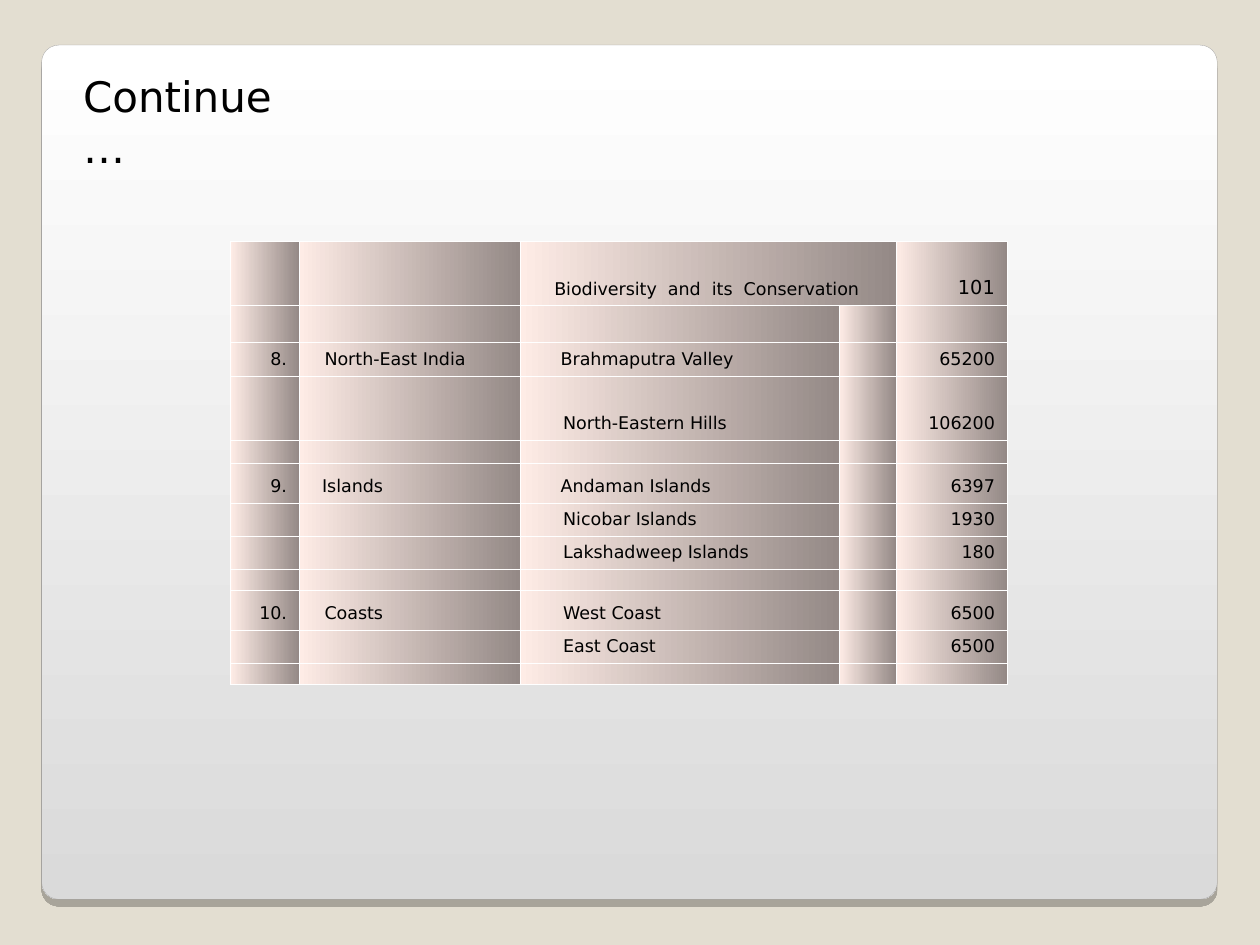
from lxml import etree
from pptx import Presentation
from pptx.dml.color import RGBColor
from pptx.enum import shapes, text
from pptx.oxml import parse_xml
from pptx.oxml.ns import nsdecls, qn
from pptx.util import Cm, Pt

FONT = "DejaVu Sans"
BLACK = RGBColor(0x00, 0x00, 0x00)
WHITE = RGBColor(0xFF, 0xFF, 0xFF)
SAND = RGBColor(0xE3, 0xDE, 0xD1)
SILVER = RGBColor(0xDA, 0xDA, 0xDA)
EDGE = RGBColor(0xA4, 0xA3, 0xA3)
TAUPE = RGBColor(0x94, 0x89, 0x86)
BLUSH = RGBColor(0xFE, 0xEC, 0xE6)

RIGHT = text.PP_ALIGN.RIGHT
WIDTHS = [1.39, 4.45, 6.43, 1.15, 2.24]

# Height in cm, number, zone, province, area
ROWS = [
    (1.29, "", "", "Biodiversity  and  its  Conservation", "101"),
    (0.74, "", "", "", ""),
    (0.69, "8.", "North-East India", "Brahmaputra Valley", "65200"),
    (1.29, "", "", "North-Eastern Hills", "106200"),
    (0.33, "", "", "", ""),
    (0.79, "9.", "Islands", "Andaman Islands", "6397"),
    (0.66, "", "", "Nicobar Islands", "1930"),
    (0.66, "", "", "Lakshadweep Islands", "180"),
    (0.26, "", "", "", ""),
    (0.81, "10.", "Coasts", "West Coast", "6500"),
    (0.66, "", "", "East Coast", "6500"),
    (0.26, "", "", "", ""),
]

# Left indents in cm; provinces beside a number sit slightly further left
INDENTS = {"Islands": 0.2, "Brahmaputra Valley": 0.56,
           "Andaman Islands": 0.56, ROWS[0][3]: 0.43}
ZONE_INDENT, AREA_INDENT = 0.25, 0.61


def put_text(frame, words, size=10, align=text.PP_ALIGN.LEFT, indent=0):
    para = frame.paragraphs[0]
    para.alignment = align
    if indent:
        para._p.get_or_add_pPr().set("marL", str(Cm(indent)))
    run = para.add_run()
    run.text = words
    font = run.font
    font.name, font.size, font.color.rgb = FONT, Pt(size), BLACK


def shade(fill, start, end, angle):
    fill.gradient()
    fill.gradient_angle = angle
    for stop, color, place in zip(fill.gradient_stops, (start, end), (0, 1)):
        stop.color.rgb = color
        stop.position = place


def add_card(slide):
    card = slide.shapes.add_shape(
        shapes.MSO_SHAPE.ROUNDED_RECTANGLE,
        Cm(0.84), Cm(0.91), Cm(23.7), Cm(17.22))
    card.adjustments[0] = 0.02
    shade(card.fill, WHITE, SILVER, 270)
    card.line.color.rgb = EDGE
    card.line.width = Pt(0.17)
    # Soft drop shadow below the card
    card.shadow.inherit = False
    card._element.spPr.find(qn("a:effectLst")).append(parse_xml(
        f'<a:outerShdw {nsdecls("a")} blurRad="0" dist="{Pt(4)}" '
        'dir="5400000" algn="t" rotWithShape="0"><a:srgbClr val="000000">'
        '<a:alpha val="25000"/></a:srgbClr></a:outerShdw>'))


def add_title(slide):
    title = slide.shapes.title
    title.left, title.top = Cm(1.42), Cm(1.3)
    title.width, title.height = Cm(4.8), Cm(1.27)
    frame = title.text_frame
    frame.word_wrap = True
    frame.auto_size = text.MSO_AUTO_SIZE.SHAPE_TO_FIT_TEXT
    frame.vertical_anchor = text.MSO_ANCHOR.TOP
    put_text(frame, "Continue…", size=24)
    # Keep the title in front of the card
    slide.shapes._spTree.append(title._element)


def edge_cell(cell):
    props = cell._tc.get_or_add_tcPr()
    for pos, side in enumerate(("lnL", "lnR", "lnT", "lnB")):
        line = etree.Element(qn(f"a:{side}"), w=str(Pt(0.45)))
        fill = etree.SubElement(line, qn("a:solidFill"))
        etree.SubElement(fill, qn("a:srgbClr"), val=str(WHITE))
        props.insert(pos, line)


def fill_cell(cell, words, row, col):
    shade(cell.fill, TAUPE, BLUSH, 180)
    edge_cell(cell)
    cell.vertical_anchor = text.MSO_ANCHOR.BOTTOM
    if not words:
        # Small empty line, so that thin rows stay thin
        end = cell.text_frame.paragraphs[0]._p.get_or_add_endParaRPr()
        end.set("sz", "500" if row == 4 else "400")
    elif col in (0, 4):
        put_text(cell.text_frame, words, align=RIGHT,
                 size=11 if row == 0 else 10)
    else:
        usual = ZONE_INDENT if col == 1 else AREA_INDENT
        put_text(cell.text_frame, words, indent=INDENTS.get(words, usual))


def add_grid(slide):
    table = slide.shapes.add_table(
        len(ROWS), len(WIDTHS), Cm(4.65), Cm(4.87),
        Cm(sum(WIDTHS)), Cm(sum(row[0] for row in ROWS))).table
    table.first_row = table.horz_banding = False
    for col, width in zip(table.columns, WIDTHS):
        col.width = Cm(width)
    for r, (height, num, zone, area, size) in enumerate(ROWS):
        table.rows[r].height = Cm(height)
        for c, words in enumerate((num, zone, area, "", size)):
            fill_cell(table.cell(r, c), words, r, c)
    table.cell(0, 2).merge(table.cell(0, 3))


def main():
    deck = Presentation()
    deck.slide_width, deck.slide_height = Cm(25.4), Cm(19.05)
    slide = deck.slides.add_slide(deck.slide_layouts[5])
    back = slide.background.fill
    back.solid()
    back.fore_color.rgb = SAND
    add_card(slide)
    add_grid(slide)
    add_title(slide)
    deck.save("out.pptx")


if __name__ == "__main__":
    main()
